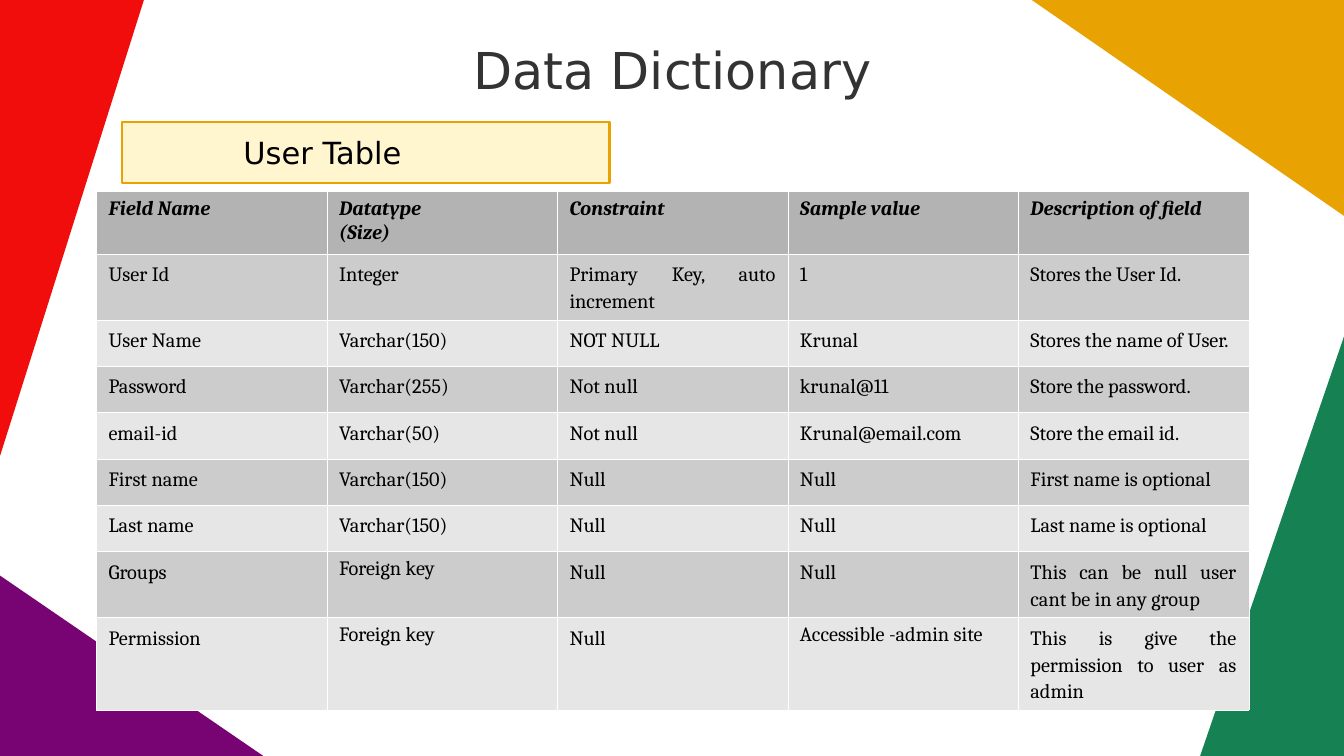
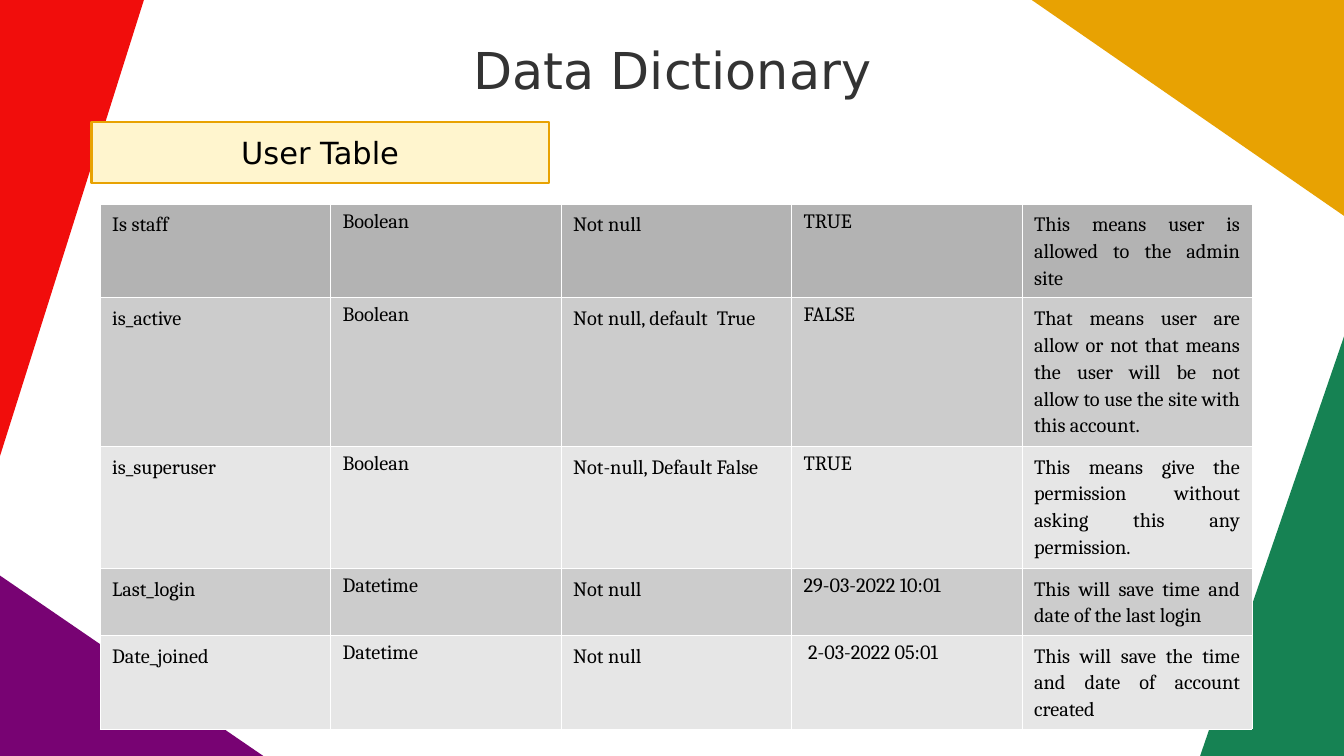
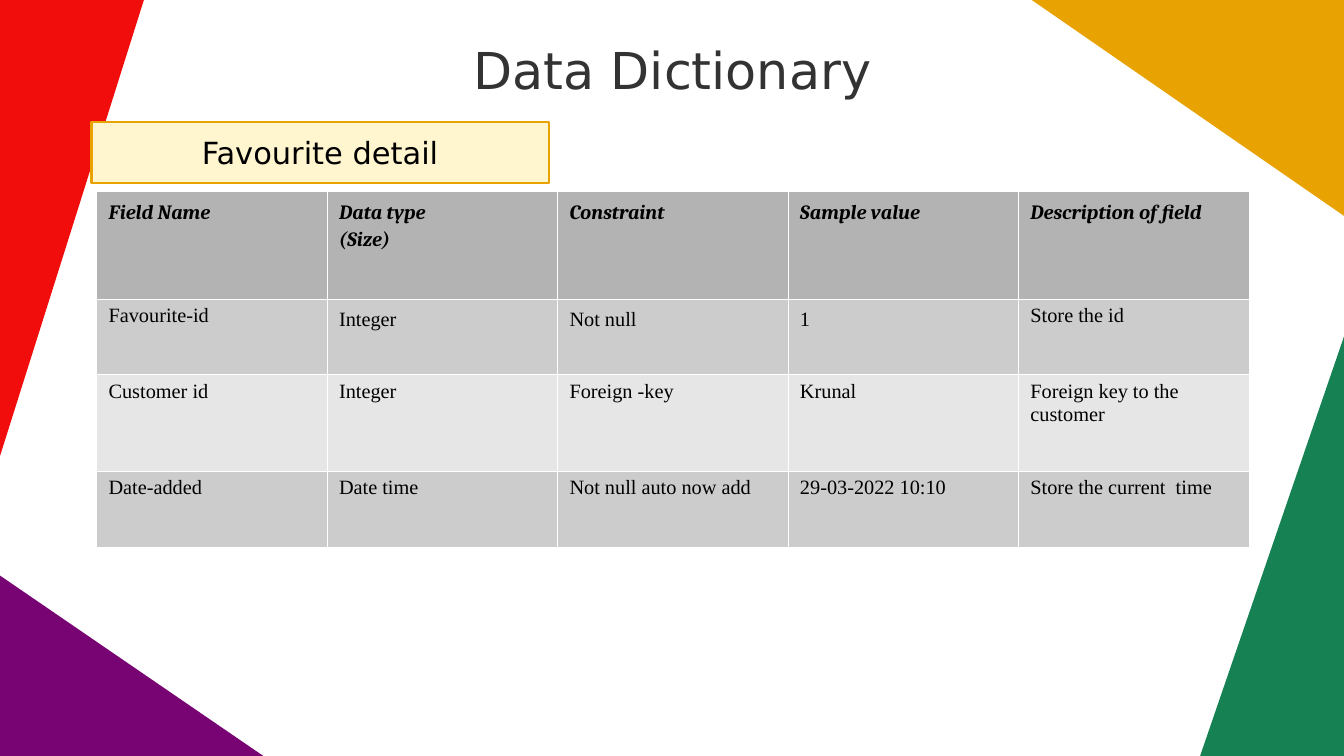
from lxml import etree
from pptx import Presentation
from pptx.dml.color import RGBColor
from pptx.enum.shapes import MSO_SHAPE
from pptx.enum.text import MSO_ANCHOR, MSO_AUTO_SIZE, PP_ALIGN
from pptx.oxml.ns import qn
from pptx.util import Inches, Pt

RECT = MSO_SHAPE.RECTANGLE
MIDDLE = MSO_ANCHOR.MIDDLE
FIXED = MSO_AUTO_SIZE.NONE
LEFT, CENTER, JUSTIFY = PP_ALIGN.LEFT, PP_ALIGN.CENTER, PP_ALIGN.JUSTIFY

WIDE, HIGH = 11.02, 6.2
GOLD, CREAM, WHITE, BLACK, GREY = "E8A202", "FFF5CE", "FFFFFF", "000000", "333333"
HEAD, ODD, EVEN = "B3B3B3", "CCCCCC", "E6E6E6"
SANS, SERIF, TIMES = "DejaVu Sans", "Cambria", "Times New Roman"

CORNERS = [
    ("780373", [(0, 4.72), (0, HIGH), (2.16, HIGH)]),
    ("F10D0C", [(0, 0), (0, 3.74), (1.18, 0)]),
    (GOLD, [(WIDE, 0), (8.46, 0), (WIDE, 1.77)]),
    ("168253", [(WIDE, HIGH), (WIDE, 2.76), (9.84, HIGH)]),
]

# Each row: height, alignment by column (j justified, l left), cell texts.
USERS = [
    (0.51, "lllll", ["Field Name", "Datatype\n(Size)", "Constraint", "Sample value", "Description of field"]),
    (0.38, "jjjjj", ["User Id", "Integer", "Primary Key, auto increment", "1", "Stores the User Id."]),
    (0.38, "jjjjj", ["User Name", "Varchar(150)", "NOT NULL", "Krunal", "Stores the name of User."]),
    (0.38, "jjjjj", ["Password", "Varchar(255)", "Not null", "krunal@11", "Store the password."]),
    (0.38, "jjjjj", ["email-id", "Varchar(50)", "Not null", "Krunal@email.com", "Store the email id."]),
    (0.38, "jjjjj", ["First name", "Varchar(150)", "Null", "Null", "First name is optional"]),
    (0.38, "jjjjj", ["Last name", "Varchar(150)", "Null", "Null", "Last name is optional"]),
    (0.38, "jljjj", ["Groups", "Foreign key", "Null", "Null", "This can be null user cant be in any group"]),
    (0.38, "jljlj", ["Permission", "Foreign key", "Null", "Accessible -admin site",
                     "This is give the permission to user as admin"]),
]
FLAGS = [
    (0.77, "jljlj", ["Is staff", "Boolean", "Not null", "TRUE", "This means user is allowed to the admin site"]),
    (1.22, "jljlj", ["is_active", "Boolean", "Not null, default  True", "FALSE",
                     "That means user are allow or not that means the user will be not allow "
                     "to use the site with this account."]),
    (1.0, "jljlj", ["is_superuser", "Boolean", "Not-null, Default False", "TRUE",
                    "This means give the permission without asking this any permission."]),
    (0.55, "jljlj", ["Last_login", "Datetime", "Not null", "29-03-2022 10:01",
                     "This will save time and date of the last login"]),
    (0.77, "jljlj", ["Date_joined", "Datetime", "Not null", " 2-03-2022 05:01",
                     "This will save the time and date of account created"]),
]
LIKES = [
    (0.88, "jjjjj", ["Field Name", "Data type\n(Size)", "Constraint", "Sample value", "Description of field"]),
    (0.62, "ljjjl", ["Favourite-id", "Integer", "Not null", "1", "Store the id"]),
    (0.79, "lllll", ["Customer id", "Integer", "Foreign -key", "Krunal", "Foreign key to the customer"]),
    (0.63, "lllll", ["Date-added", "Date time", "Not null auto now add", "29-03-2022 10:10",
                     "Store the current  time"]),
]

# Each slide: label, label left, label width, right inset, table left, table top,
# has header, body font, rows.
SLIDES = [
    ("User Table", 1, 4, 0.81, 0.79, 1.57, True, SERIF, USERS),
    ("User Table", 0.75, 3.75, 0.1, 0.82, 1.67, False, SERIF, FLAGS),
    ("Favourite detail", 0.75, 3.75, 0.1, 0.79, 1.57, True, TIMES, LIKES),
]


def paint(fill, color):
    fill.solid()
    fill.fore_color.rgb = RGBColor.from_string(color)


def write(para, text, font, size, color, bold=False):
    run = para.add_run()
    run.text = text
    run.font.name = font
    run.font.size = Pt(size)
    run.font.bold = run.font.italic = bold
    paint(run.font.fill, color)


deck = Presentation()
deck.slide_width, deck.slide_height = Inches(WIDE), Inches(HIGH)
layout = deck.slide_layouts[5]

for page, (label, left, width, inset, x, y, header, body, rows) in enumerate(SLIDES):
    slide = deck.slides.add_slide(layout)
    shapes = slide.shapes

    if page == 0:
        for spot, (color, points) in enumerate(CORNERS):
            start, *rest = [(Inches(a), Inches(b)) for a, b in points]
            pen = shapes.build_freeform(*start)
            pen.add_line_segments(rest)
            corner = pen.convert_to_shape()
            corner.shadow.inherit = False
            paint(corner.fill, color)
            corner.line.fill.background()
            layout.shapes.element.insert(2 + spot, corner.element)

    title = shapes.title
    title.left, title.top = Inches(0.79), Inches(0.33)
    title.width, title.height = Inches(9.45), Inches(0.48)
    frame = title.text_frame
    frame.auto_size = FIXED
    frame.vertical_anchor = MIDDLE
    frame.margin_left = frame.margin_right = frame.margin_top = frame.margin_bottom = 0
    frame.paragraphs[0].alignment = CENTER
    write(frame.paragraphs[0], "Data Dictionary", SANS, 30, GREY)

    tall = sum(row[0] for row in rows)
    table = shapes.add_table(len(rows), 5, Inches(x), Inches(y), Inches(9.45), Inches(tall)).table
    table.first_row = table.horz_banding = False
    for col in table.columns:
        col.width = Inches(1.89)
    for r, (height, marks, texts) in enumerate(rows):
        table.rows[r].height = Inches(height)
        top = header and r == 0
        shade = HEAD if r == 0 else ODD if r % 2 else EVEN
        for c, (mark, text) in enumerate(zip(marks, texts)):
            cell = table.cell(r, c)
            props = cell._tc.get_or_add_tcPr()
            for side in ("a:lnL", "a:lnR", "a:lnT", "a:lnB"):
                edge = etree.SubElement(props, qn(side), w="762")
                solid = etree.SubElement(edge, qn("a:solidFill"))
                etree.SubElement(solid, qn("a:srgbClr"), val=WHITE)
            paint(cell.fill, shade)
            lines = text.split("\n")
            for n, line in enumerate(lines):
                para = cell.text_frame.paragraphs[0] if n == 0 else cell.text_frame.add_paragraph()
                para.alignment = LEFT
                if mark == "j":
                    para.alignment = JUSTIFY
                    para.line_spacing = 1.15
                    para.space_after = Pt(5.7 if len(lines) == 1 else 0)
                write(para, line, SERIF if top else body, 12, BLACK, top)

    box = shapes.add_shape(RECT, Inches(left), Inches(1), Inches(width), Inches(0.5))
    box.shadow.inherit = False
    paint(box.fill, CREAM)
    paint(box.line.fill, GOLD)
    box.line.width = Pt(1.42)
    frame = box.text_frame
    frame.word_wrap = True
    frame.vertical_anchor = MIDDLE
    frame.margin_right = Inches(inset)
    frame.paragraphs[0].alignment = CENTER
    write(frame.paragraphs[0], label, SANS, 18, BLACK)

deck.save("out.pptx")
